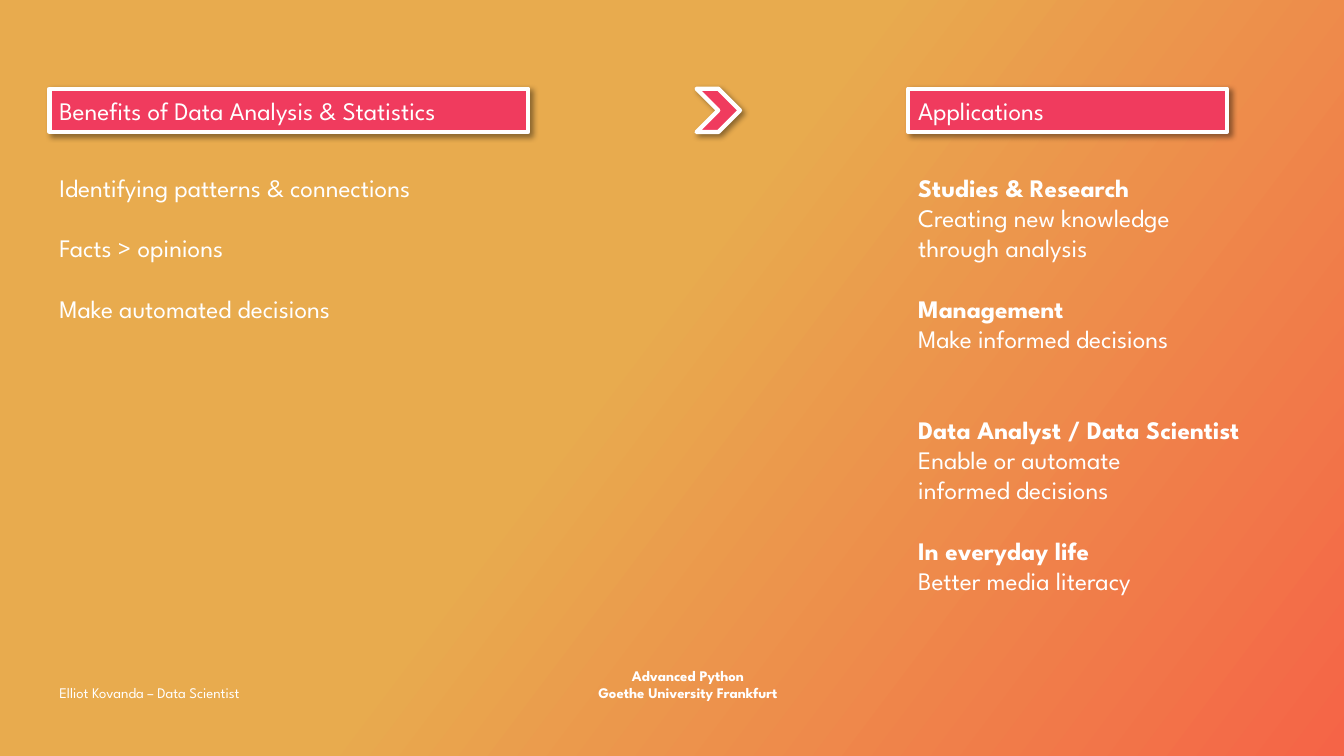
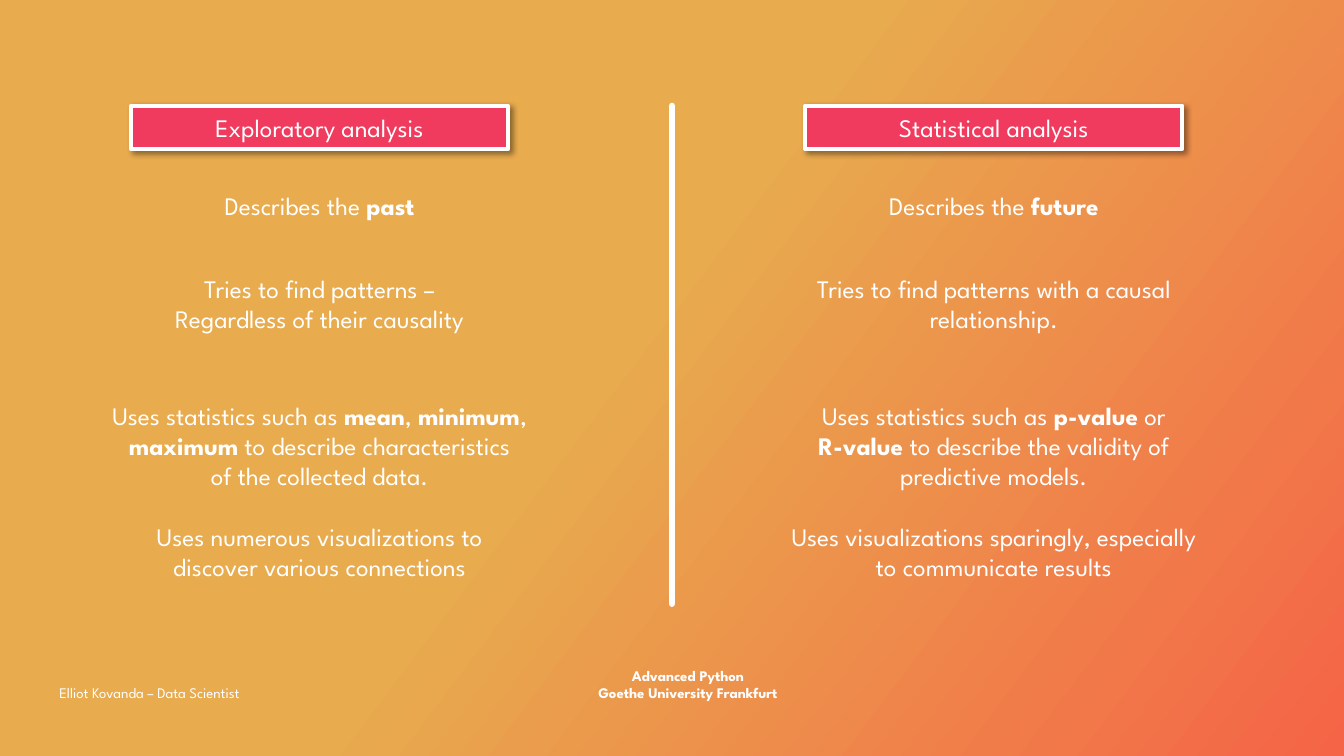
import dataclasses
import typing

import lxml.etree
import pptx
import pptx.dml.color
import pptx.enum.shapes
import pptx.enum.text
import pptx.oxml.ns
import pptx.util

qn = pptx.oxml.ns.qn
SHAPE = pptx.enum.shapes.MSO_SHAPE
ALIGN = pptx.enum.text.PP_ALIGN
ANCHOR = pptx.enum.text.MSO_ANCHOR

# Shared look
WIDE, HIGH = pptx.util.Inches(13.333), pptx.util.Inches(7.5)
FONT = "League Spartan"
WHITE, PINK, BLACK = "FFFFFF", "F03B5E", "000000"
STOPS = ((0, "E8AB4E"), (46, "E8AB4E"), (100, "F56447"))
BODY, SMALL = 18, 10.5
LINE = 1.2  # line height, as a share of the text size


@dataclasses.dataclass
class Box:
    """Left, top, width and height in percent of the slide."""
    x: float
    y: float
    w: float
    h: float

    def place(self) -> tuple[int, int, int, int]:
        return across(self.x), down(self.y), across(self.w), down(self.h)


@dataclasses.dataclass
class Para:
    """Text with *bold* parts, and the empty lines above it."""
    text: str
    gap: int = 1


@dataclasses.dataclass
class Side:
    """One half of the comparison: heading, then (width, text) per row."""
    mid: float
    head: str
    rows: tuple[tuple[float, tuple[Para, ...]], ...]


def across(part: float) -> int:
    return round(WIDE * part / 100)


def down(part: float) -> int:
    return round(HIGH * part / 100)


def color(code: str) -> pptx.dml.color.RGBColor:
    return pptx.dml.color.RGBColor.from_string(code)


def node(above: typing.Any, tag: str, **attrs: object) -> typing.Any:
    return lxml.etree.SubElement(above, qn(tag), {k: str(v) for k, v in attrs.items()})


# Text
def write(frame: typing.Any, paras: typing.Sequence[Para], *, size: float = BODY,
          align: typing.Any = ALIGN.LEFT, anchor: typing.Any = ANCHOR.TOP) -> None:
    frame.word_wrap = True
    frame.vertical_anchor = anchor
    for i, para in enumerate(paras):
        p = frame.add_paragraph() if i else frame.paragraphs[0]
        p.alignment = align
        if i:
            p.space_before = pptx.util.Pt(para.gap * size * LINE)
        for j, part in enumerate(para.text.split("*")):
            for k, line in enumerate(part.split("\n")):
                if k:
                    p.add_line_break()
                if line:
                    run = p.add_run()
                    run.text = line
                    run.font.name = FONT
                    run.font.size = pptx.util.Pt(size)
                    run.font.bold = j % 2 == 1
                    run.font.color.rgb = color(WHITE)
        for mark in p._p.findall(qn("a:br")):
            look = node(mark, "a:rPr", sz=int(size * 100))
            node(look, "a:latin", typeface=FONT)


def label(slide: typing.Any, box: Box, *paras: Para, grow: bool = True, **form: typing.Any) -> None:
    frame = slide.shapes.add_textbox(*box.place()).text_frame
    write(frame, paras, **form)
    if grow:
        frame.auto_size = pptx.enum.text.MSO_AUTO_SIZE.SHAPE_TO_FIT_TEXT


# Shapes
def badge(slide: typing.Any, box: Box, text: str = "", kind: typing.Any = SHAPE.RECTANGLE,
          **form: typing.Any) -> None:
    shape = slide.shapes.add_shape(kind, *box.place())
    shape.fill.solid()
    shape.fill.fore_color.rgb = color(PINK)
    shape.line.color.rgb = color(WHITE)
    shape.line.width = pptx.util.Pt(3)
    shape.shadow.inherit = False
    glow = node(shape._element.spPr.find(qn("a:effectLst")), "a:outerShdw",
                blurRad=pptx.util.Pt(4), dist=pptx.util.Pt(3), dir=45 * 60000,
                algn="tl", rotWithShape=0)
    node(node(glow, "a:srgbClr", val=BLACK), "a:alpha", val=40000)
    if text:
        write(shape.text_frame, [Para(text)], anchor=ANCHOR.MIDDLE, **form)


def rule(slide: typing.Any, x: float, top: float, end: float) -> None:
    bar = slide.shapes.add_connector(pptx.enum.shapes.MSO_CONNECTOR.STRAIGHT,
                                     across(x), down(top), across(x), down(end))
    bar.line.color.rgb = color(WHITE)
    bar.line.width = pptx.util.Pt(4.5)
    bar.line._get_or_add_ln().set("cap", "rnd")
    node(bar._element.spPr, "a:effectLst")


# Frame of every slide
def paint(deck: typing.Any) -> None:
    fill = deck.slide_master.background.fill
    fill.gradient()
    fill.gradient_angle = 360 - 37
    stops = next(deck.slide_master.element.iter(qn("a:gsLst")))
    for old in list(stops):
        stops.remove(old)
    for spot, code in STOPS:
        node(node(stops, "a:gs", pos=spot * 1000), "a:srgbClr", val=code)


def start(deck: typing.Any) -> typing.Any:
    slide = deck.slides.add_slide(deck.slide_layouts[6])
    form = dict(size=SMALL, anchor=ANCHOR.BOTTOM, grow=False)
    label(slide, Box(42, 88.13, 18.38, 5.33),
          Para("*Advanced Python\nGoethe University Frankfurt*"), align=ALIGN.CENTER, **form)
    label(slide, Box(LEFT, 88.13, 18.38, 5.33), Para("Elliot Kovanda – Data Scientist"), **form)
    return slide


# Grid, in percent
LEFT, RIGHT = 3.68, 67.58
HEAD, TALL = 11.73, 5.73
TEXT = 22.13
ROWS = ((24.53, 5.33), (35.47, 9.47), (52.27, 25.6))  # top and height

GAINS = (
    Para("Identifying patterns & connections"),
    Para("Facts > opinions"),
    Para("Make automated decisions"),
)
USES = (
    Para("*Studies & Research*\nCreating new knowledge\nthrough analysis"),
    Para("*Management*\nMake informed decisions"),
    Para("*Data Analyst / Data Scientist*\nEnable or automate\ninformed decisions", 2),
    Para("*In everyday life*"),
    Para("Better media literacy", 0),
)
SIDES = (
    Side(23.78, "Exploratory analysis", (
        (28.95, (Para("Describes the *past*"),)),
        (27, (Para("Tries to find patterns –"), Para("Regardless of their causality", 0))),
        (37.28, (Para("Uses statistics such as *mean*, *minimum*,\n*maximum* to describe "
                      "characteristics\nof the collected data."),
                 Para("Uses numerous visualizations to\ndiscover various connections"))),
    )),
    Side(73.95, "Statistical analysis", (
        (21.6, (Para("Describes the *future*"),)),
        (32.4, (Para("Tries to find patterns with a causal\nrelationship."),)),
        (36.45, (Para("Uses statistics such as *p-value* or\n*R-value* to describe the "
                      "validity of\npredictive models."),
                 Para("Uses visualizations sparingly, especially\nto communicate results"))),
    )),
)


def gains(deck: typing.Any) -> None:
    slide = start(deck)
    badge(slide, Box(LEFT, HEAD, 35.63, TALL), "Benefits of Data Analysis & Statistics")
    label(slide, Box(LEFT, TEXT, 41.93, 25.6), *GAINS)
    badge(slide, Box(RIGHT, HEAD, 23.7, TALL), "Applications")
    label(slide, Box(RIGHT, TEXT, 27.45, 66), *USES)
    badge(slide, Box(51.83, HEAD, 3.23, TALL), kind=SHAPE.CHEVRON)


def versus(deck: typing.Any) -> None:
    slide = start(deck)
    rule(slide, 50, 14, 79.87)
    for side in SIDES:
        badge(slide, Box(side.mid - 14.03, 14, 28.05, TALL), side.head, align=ALIGN.CENTER)
        for (top, tall), (wide, paras) in zip(ROWS, side.rows):
            label(slide, Box(side.mid - wide / 2, top, wide, tall), *paras, align=ALIGN.CENTER)


def main() -> None:
    deck = pptx.Presentation()
    deck.slide_width, deck.slide_height = WIDE, HIGH
    paint(deck)
    gains(deck)
    versus(deck)
    deck.save("out.pptx")


if __name__ == "__main__":
    main()
